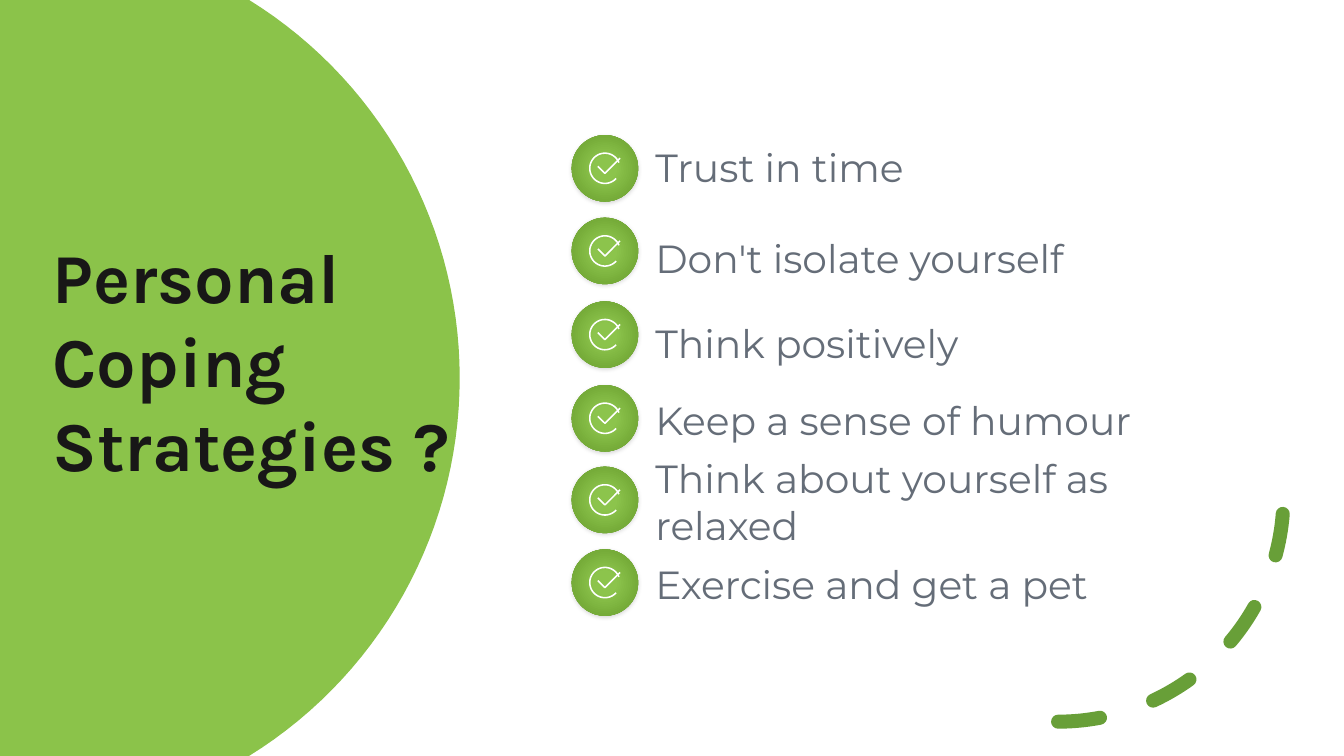
import math

import pptx
import pptx.dml.color
import pptx.enum.dml
import pptx.enum.shapes
import pptx.enum.text
import pptx.oxml
import pptx.oxml.ns
import pptx.util

Inches, Pt = pptx.util.Inches, pptx.util.Pt
qn = pptx.oxml.ns.qn
MSO = pptx.enum.shapes.MSO_SHAPE
ANCHOR = pptx.enum.text.MSO_ANCHOR
GROW = pptx.enum.text.MSO_AUTO_SIZE.SHAPE_TO_FIT_TEXT
NS = pptx.oxml.ns.nsdecls("a")

TITLE = ["Personal", "Coping", "Strategies ?"]
# label, icon centre, box top, box height, line spacing
TIPS = [
    ("Trust in time", 1.67, 1.42, 0.47, 1.0),
    ("Don't isolate yourself", 2.49, 2.21, 0.56, 1.3),
    ("Think positively", 3.32, 3.05, 0.56, 1.3),
    ("Keep a sense of humour", 4.15, 3.93, 0.47, 1.0),
    ("Think about yourself as relaxed", 4.96, 4.5, 0.94, 1.0),
    ("Exercise and get a pet", 5.78, 5.56, 0.47, 1.0),
]
COLORS = {"panel": "8BC34A", "dash": "689F38", "title": "181717",
          "label": "656D78", "tick": "FFFFFF", "shade": "000000"}
GLOW = [(0, "8CC44C"), (23, "8CC44C"), (69, "76AC39"), (97, "6EA035")]

WIDE, HIGH = 13.33, 7.5
MID_X, DISC, RING = 6.0, 0.66, 0.15
LABEL_X, LABEL_W = 6.5, 5.02


def rgb(name):
    return pptx.dml.color.RGBColor.from_string(COLORS[name])


def box(x, y, w, h):
    return [Inches(v) for v in (x, y, w, h)]


def curve(x, y, r, start, end, steps=60):
    """Points on a circle, from one angle to another in degrees."""
    turns = [math.radians(start + (end - start) * i / steps)
             for i in range(steps + 1)]
    return [(x + r * math.cos(t), y + r * math.sin(t)) for t in turns]


def outline(shapes, *parts, close=False):
    """Freeform made of one or more point lists in inches."""
    parts = [[(Inches(x), Inches(y)) for x, y in part] for part in parts]
    pen = shapes.build_freeform(*parts[0][0])
    for i, points in enumerate(parts):
        if i:
            pen.move_to(*points[0])
        pen.add_line_segments(points[1:], close=close)
    shape = pen.convert_to_shape()
    shape.shadow.inherit = False
    return shape


def write(frame, lines, font, size, color, bold=False, space=1.0,
          anchor=ANCHOR.TOP, inset=None):
    frame.word_wrap = True
    frame.auto_size = GROW
    frame.vertical_anchor = anchor
    if inset is not None:
        frame.margin_left = frame.margin_right = Inches(inset)
        frame.margin_top = frame.margin_bottom = Inches(inset)
    for i, line in enumerate(lines):
        para = frame.add_paragraph() if i else frame.paragraphs[0]
        para.alignment = pptx.enum.text.PP_ALIGN.LEFT
        para.line_spacing = space
        run = para.add_run()
        run.text = line
        run.font.name, run.font.size, run.font.bold = font, Pt(size), bold
        run.font.color.rgb = rgb(color)


def add_disc(shapes, y):
    disc = shapes.add_shape(
        MSO.OVAL, *box(MID_X - DISC / 2, y - DISC / 2, DISC, DISC))
    disc.line.fill.background()
    disc.shadow.inherit = False
    disc.fill.gradient()
    props = disc.element.spPr
    grad = props.find(qn("a:gradFill"))
    for child in list(grad):
        grad.remove(child)
    stops = "".join(f'<a:gs pos="{p * 1000}"><a:srgbClr val="{c}"/></a:gs>'
                    for p, c in GLOW)
    grad.append(pptx.oxml.parse_xml(f"<a:gsLst {NS}>{stops}</a:gsLst>"))
    grad.append(pptx.oxml.parse_xml(
        f'<a:path {NS} path="circle"><a:fillToRect l="50000" t="50000" '
        'r="50000" b="50000"/></a:path>'))
    props.find(qn("a:effectLst")).append(pptx.oxml.parse_xml(
        f'<a:outerShdw {NS} blurRad="{Pt(3)}" dist="{Pt(1)}" dir="5400000">'
        f'<a:srgbClr val="{COLORS["shade"]}"><a:alpha val="15000"/>'
        '</a:srgbClr></a:outerShdw>'))


def add_check(shapes, y):
    ring = curve(MID_X, y, RING, -22, -318)
    tick = [(MID_X - 0.07, y - 0.02), (MID_X, y + 0.05),
            (MID_X + 0.15, y - 0.1)]
    check = outline(shapes, ring, tick)
    check.fill.background()
    check.line.color.rgb = rgb("tick")
    check.line.width = Pt(1.1)


def add_arc(shapes):
    arc = shapes.add_shape(MSO.ARC, *box(8.26, 2.69, 4.47, 4.47))
    arc.shadow.inherit = False
    arc.fill.background()
    arc.line.color.rgb = rgb("dash")
    arc.line.width = Pt(10)
    arc.line.dash_style = pptx.enum.dml.MSO_LINE.DASH
    arc.element.spPr.find(qn("a:ln")).set("cap", "rnd")
    arc.element.spPr.find(qn("a:xfrm")).set("flipV", "1")


def main():
    deck = pptx.Presentation()
    deck.slide_width, deck.slide_height = Inches(WIDE), Inches(HIGH)
    slide = deck.slides.add_slide(deck.slide_layouts[5])
    shapes = slide.shapes

    rim = curve(0.15, HIGH / 2, 4.41, -58.24, 58.24)
    panel = outline(shapes, [(0, 0)] + rim + [(0, HIGH)], close=True)
    panel.fill.solid()
    panel.fill.fore_color.rgb = rgb("panel")
    panel.line.fill.background()
    add_arc(shapes)

    title = shapes.title
    title.left, title.top, title.width, title.height = box(
        0.42, 2.27, 8.26, 2.63)
    write(title.text_frame, TITLE, "Karla", 50, "title", bold=True)
    title.element.getparent().append(title.element)  # in front of the panel

    for text, y, top, tall, space in TIPS:
        row = shapes.add_group_shape().shapes
        add_disc(row, y)
        label = row.add_textbox(*box(LABEL_X, top, LABEL_W, tall))
        write(label.text_frame, [text], "Montserrat", 28, "label",
              space=space, anchor=ANCHOR.MIDDLE, inset=0)
        add_check(row, y)

    deck.save("out.pptx")


if __name__ == "__main__":
    main()
